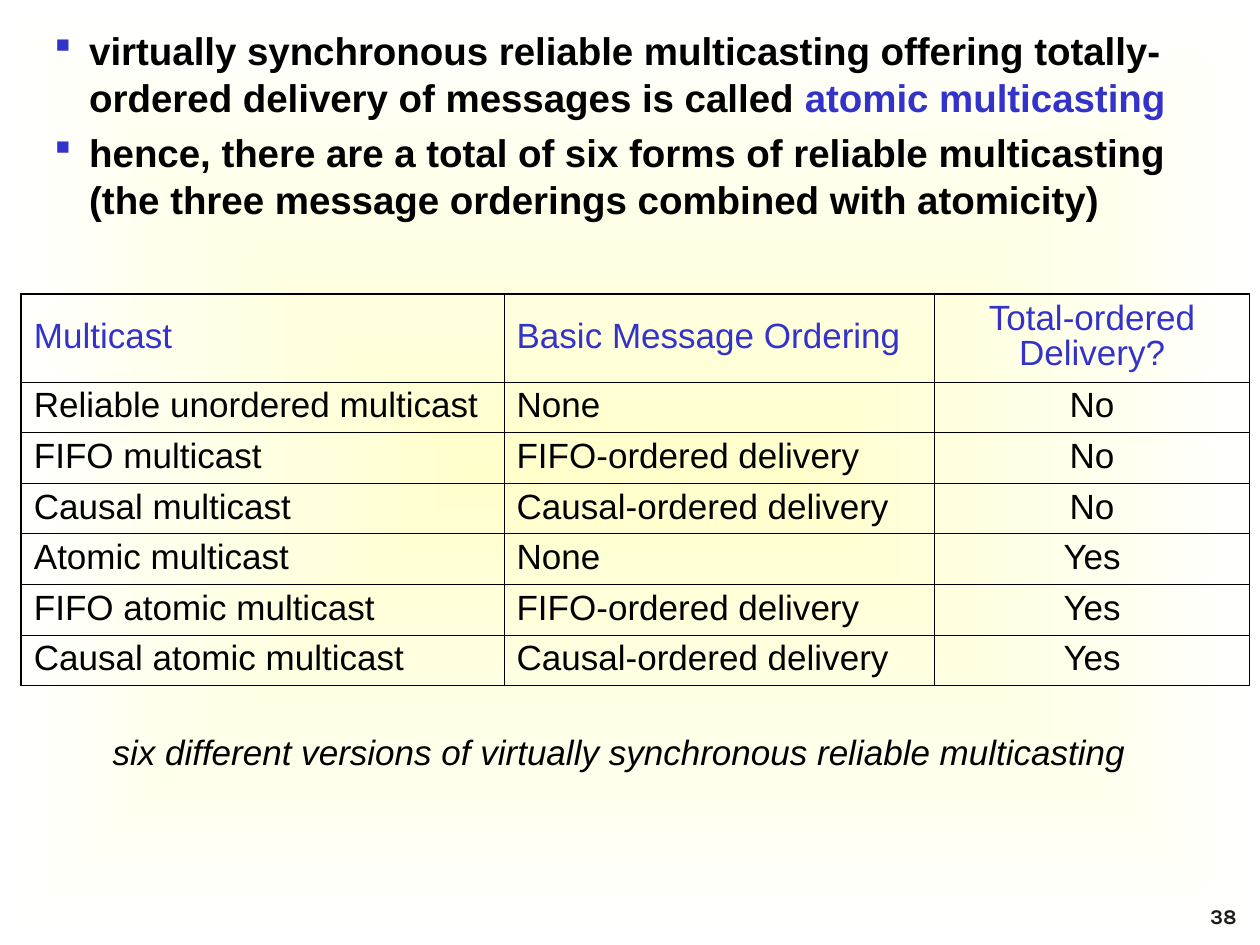
from lxml import etree
from pptx import Presentation
from pptx import util as u
from pptx.dml.color import RGBColor
from pptx.enum import text
from pptx.oxml.ns import qn

COLOURS = {"ink": "000000", "accent": "3333CC", "number": "1C1C1C",
           "glow": "FFFFCC", "edge": "FFFFFF"}
LEFT, CENTRE, RIGHT = text.PP_ALIGN.LEFT, text.PP_ALIGN.CENTER, text.PP_ALIGN.RIGHT
THIN, THICK = u.Pt(0.45), u.Pt(1.08)


def rgb(name):
    return RGBColor.from_string(COLOURS[name])


class SlideBuilder:
    def __init__(self, slide, font="Arial"):
        self.slide = slide
        self.font = font

    def background(self, centre, edge):
        fill = self.slide.background.fill
        fill.gradient()
        for stop, colour, position in zip(fill.gradient_stops, (centre, edge), (0, 1)):
            stop.color.rgb = rgb(colour)
            stop.position = position
        gradient = self.slide.element.find(".//" + qn("a:gradFill"))
        for linear in gradient.findall(qn("a:lin")):
            gradient.remove(linear)
        shade = etree.SubElement(gradient, qn("a:path"), path="rect")
        etree.SubElement(shade, qn("a:fillToRect"),
                         {side: "50000" for side in "ltrb"})

    def run(self, paragraph, words, colour="ink", **style):
        run = paragraph.add_run()
        run.text = words
        for name, value in {"name": self.font, **style}.items():
            setattr(run.font, name, value)
        run.font.color.rgb = rgb(colour)

    def frame(self, box):
        frame = self.slide.shapes.add_textbox(*map(u.Cm, box)).text_frame
        frame.word_wrap = True
        return frame

    def line(self, box, words, align, anchor=text.MSO_ANCHOR.TOP, **style):
        frame = self.frame(box)
        frame.vertical_anchor = anchor
        frame.paragraphs[0].alignment = align
        self.run(frame.paragraphs[0], words, **style)

    def bullets(self, box, items, **style):
        frame = self.frame(box)
        for index, pieces in enumerate(items):
            paragraph = frame.add_paragraph() if index else frame.paragraphs[0]
            if index:
                paragraph.space_before = u.Pt(5.5)
            props = paragraph._p.get_or_add_pPr()
            props.set("marL", str(u.Cm(0.71)))
            props.set("indent", str(-u.Cm(0.71)))
            colour = etree.SubElement(props, qn("a:buClr"))
            etree.SubElement(colour, qn("a:srgbClr"), val=COLOURS["accent"])
            # Wingdings draws this character as a small square
            etree.SubElement(props, qn("a:buFont"), typeface="Wingdings")
            etree.SubElement(props, qn("a:buChar"), char="§")
            for words, ink in pieces:
                self.run(paragraph, words, ink, **style)

    def borders(self, cell, widths):
        props = cell._tc.get_or_add_tcPr()
        for side, width in widths.items():
            line = etree.SubElement(props, qn("a:ln" + side), w=str(width))
            solid = etree.SubElement(line, qn("a:solidFill"))
            etree.SubElement(solid, qn("a:srgbClr"), val=COLOURS["ink"])

    def table(self, left, top, widths, heights, rows, aligns, size):
        box = map(u.Cm, (left, top, sum(widths), sum(heights)))
        table = self.slide.shapes.add_table(len(rows), len(widths), *box).table
        table.first_row = table.horz_banding = False
        for column, width in zip(table.columns, widths):
            column.width = u.Cm(width)
        for row, height in zip(table.rows, heights):
            row.height = u.Cm(height)
        last_row, last_column = len(rows) - 1, len(widths) - 1
        for r, row in enumerate(rows):
            for c, words in enumerate(row):
                cell = table.cell(r, c)
                outer = {"L": c == 0, "R": c == last_column,
                         "T": r == 0, "B": r == last_row}
                self.borders(cell, {side: THICK if edge else THIN
                                    for side, edge in outer.items()})
                cell.fill.background()
                cell.vertical_anchor = text.MSO_ANCHOR.MIDDLE
                paragraph = cell.text_frame.paragraphs[0]
                paragraph.alignment = aligns[c]
                paragraph.line_spacing = 0.9
                self.run(paragraph, words, "ink" if r else "accent", size=size)


def main():
    deck = Presentation()
    deck.slide_width, deck.slide_height = u.Cm(25.4), u.Cm(19.05)
    page = SlideBuilder(deck.slides.add_slide(deck.slide_layouts[6]))
    page.background("glow", "edge")

    # Slide number
    page.line((23.7, 18.42, 1.48, 0.43), "38", RIGHT, text.MSO_ANCHOR.BOTTOM,
              colour="number", name="Karla", size=u.Pt(12), bold=True)

    # Table caption
    page.line((1.48, 14.6, 22.01, 1.27),
              "six different versions of virtually synchronous reliable multicasting",
              CENTRE, size=u.Pt(20), italic=True)

    # Multicast versions: the same three orderings, without and with total order
    orderings = ["None", "FIFO-ordered delivery", "Causal-ordered delivery"]
    multicasts = {
        "No": ["Reliable unordered multicast", "FIFO multicast", "Causal multicast"],
        "Yes": ["Atomic multicast", "FIFO atomic multicast", "Causal atomic multicast"],
    }
    rows = [("Multicast", "Basic Message Ordering", "Total-ordered Delivery?")]
    for total_order, names in multicasts.items():
        rows += [(name, order, total_order) for name, order in zip(names, orderings)]
    page.table(0.43, 5.92, (9.73, 8.68, 6.35), [1.78] + [1.02] * 6, rows,
               (LEFT, LEFT, CENTRE), u.Pt(20))

    # Statements above the table
    page.bullets((0.84, 0.43, 24.13, 3.39), [
        [("virtually synchronous reliable multicasting offering totally-ordered "
          "delivery of messages is called ", "ink"),
         ("atomic multicasting", "accent")],
        [("hence, there are a total of six forms of reliable multicasting "
          "(the three message orderings combined with atomicity)", "ink")],
    ], size=u.Pt(22), bold=True)

    deck.save("out.pptx")


if __name__ == "__main__":
    main()
